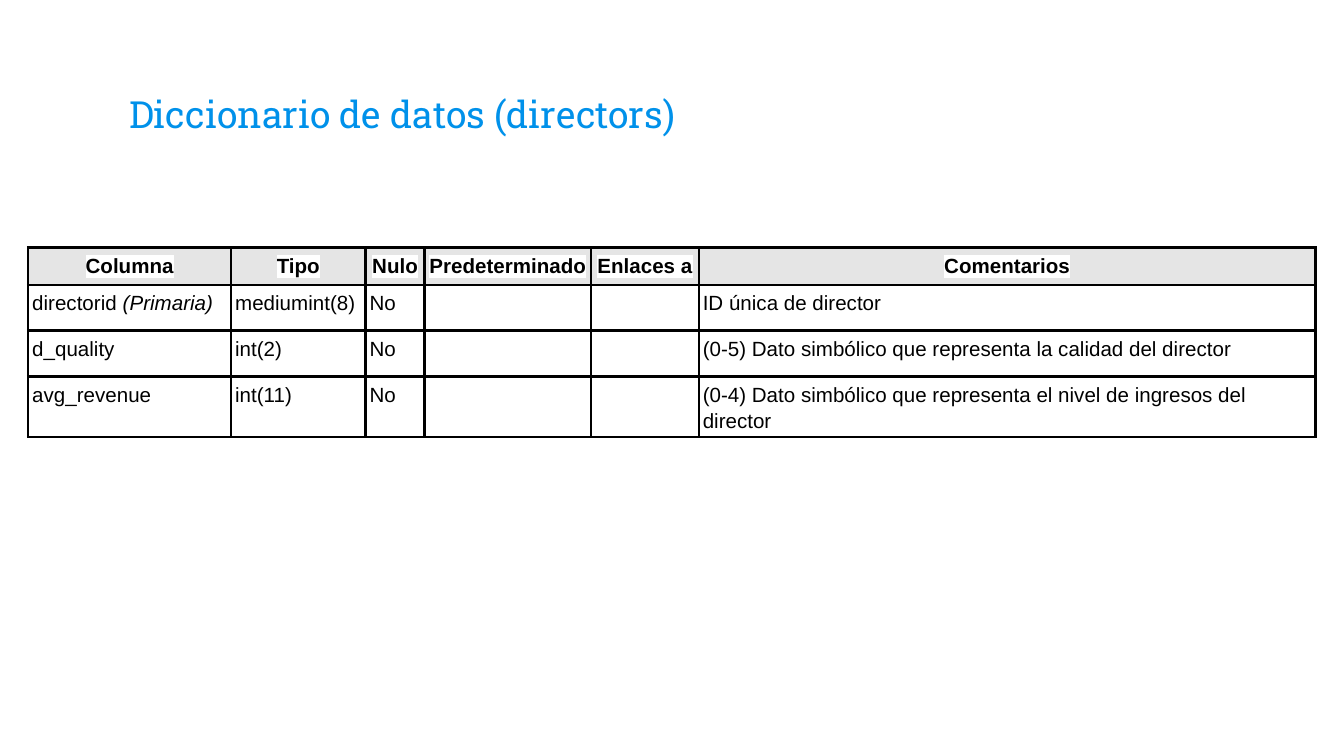
from dataclasses import dataclass

from lxml import etree
from pptx import Presentation
from pptx import util as u
from pptx.dml.color import RGBColor
from pptx.enum import text
from pptx.oxml import ns


@dataclass(frozen=True)
class Theme:
    title_font: str = "Roboto Slab"
    table_font: str = "Arial"
    title_size: int = 20
    table_size: int = 11
    title_color: str = "0091EA"
    ink: str = "000000"
    paper: str = "FFFFFF"
    header_fill: str = "E5E5E5"
    border_width: float = 1.5


@dataclass(frozen=True)
class Field:
    """One database column; its key note is set in italics after the name."""
    name: str
    type: str
    comment: str
    key: str = ""


THEME = Theme()
WIDTH = u.Inches(10)
HEIGHT = WIDTH * 9 // 16
COLUMNS = {"Columna": 1.51, "Tipo": 1, "Nulo": 0.44,
           "Predeterminado": 1.24, "Enlaces a": 0.8, "Comentarios": 4.59}
ROW_HEIGHT = 0.28
FIELDS = [
    Field("directorid ", "mediumint(8)", "ID única de director", "(Primaria)"),
    Field("d_quality", "int(2)",
          "(0-5) Dato simbólico que representa la calidad del director"),
    Field("avg_revenue", "int(11)",
          "(0-4) Dato simbólico que representa el nivel de ingresos del director"),
]


def apply(target, values: dict) -> None:
    for name, value in values.items():
        setattr(target, name, value)


def add_run(paragraph, words: str, font: str, size: int, color: str, **style):
    run = paragraph.add_run()
    run.text = words
    apply(run.font, {"name": font, "size": u.Pt(size), **style})
    run.font.color.rgb = RGBColor.from_string(color)
    return run


def add_color(parent, color: str) -> None:
    etree.SubElement(parent, ns.qn("a:srgbClr"), val=color)


def highlight(run, color: str) -> None:
    mark = etree.Element(ns.qn("a:highlight"))
    add_color(mark, color)
    run.font._element.find(ns.qn("a:solidFill")).addnext(mark)


def format_cell(cell, fill: str) -> None:
    sides = ("left", "right", "top", "bottom")
    apply(cell, {f"margin_{side}": u.Inches(0.03) for side in sides})
    properties = cell._tc.get_or_add_tcPr()
    for side in sides:
        line = etree.SubElement(properties, ns.qn(f"a:ln{side[0].upper()}"),
                                w=str(u.Pt(THEME.border_width)))
        add_color(etree.SubElement(line, ns.qn("a:solidFill")), THEME.ink)
    cell.fill.solid()
    cell.fill.fore_color.rgb = RGBColor.from_string(fill)


def set_empty_font(cell) -> None:
    """Give a blank cell the table font, which decides its row's height."""
    paragraph = cell.text_frame.paragraphs[0]._p
    end = etree.SubElement(paragraph, ns.qn("a:endParaRPr"))
    etree.SubElement(end, ns.qn("a:latin"), typeface=THEME.table_font)


def write_cell(cell, words: str, note: str = "", header: bool = False) -> None:
    paragraph = cell.text_frame.paragraphs[0]
    align = text.PP_ALIGN.CENTER if header else text.PP_ALIGN.LEFT
    apply(paragraph, {"alignment": align, "line_spacing": 1.15,
                      "space_before": u.Pt(12), "space_after": u.Pt(12)})
    look = (THEME.table_font, THEME.table_size, THEME.ink)
    run = add_run(paragraph, words, *look, bold=header)
    if header:
        highlight(run, THEME.paper)
    if note:
        add_run(paragraph, note, *look, italic=True)


def add_title(slide, words: str) -> None:
    title = slide.shapes.title
    apply(title, {"left": int(WIDTH * 0.086), "top": u.Inches(0.34),
                  "width": int(WIDTH * 0.828), "height": u.Inches(0.77)})
    frame = title.text_frame
    apply(frame, {f"margin_{side}": u.Inches(0.1)
                  for side in ("left", "right", "top", "bottom")})
    apply(frame, {"word_wrap": True, "auto_size": text.MSO_AUTO_SIZE.NONE,
                  "vertical_anchor": text.MSO_ANCHOR.BOTTOM})
    paragraph = frame.paragraphs[0]
    paragraph.alignment = text.PP_ALIGN.LEFT
    add_run(paragraph, words, THEME.title_font, THEME.title_size, THEME.title_color)


def add_dictionary(slide, fields: list[Field]) -> None:
    row_count = len(fields) + 1
    table = slide.shapes.add_table(
        row_count, len(COLUMNS), u.Inches(0.21), u.Inches(1.84),
        u.Inches(sum(COLUMNS.values())), u.Inches(ROW_HEIGHT * row_count)).table
    apply(table, {"first_row": False, "horz_banding": False})
    for column, width in zip(table.columns, COLUMNS.values()):
        column.width = u.Inches(width)
    for index, row in enumerate(table.rows):
        for cell in row.cells:
            format_cell(cell, THEME.paper if index else THEME.header_fill)
    for column, heading in enumerate(COLUMNS):
        write_cell(table.cell(0, column), heading, header=True)
    for row, field in enumerate(fields, start=1):
        write_cell(table.cell(row, 0), field.name, field.key)
        for column, words in ((1, field.type), (2, "No"), (5, field.comment)):
            write_cell(table.cell(row, column), words)
        for column in (3, 4):
            set_empty_font(table.cell(row, column))


def main() -> None:
    deck = Presentation()
    apply(deck, {"slide_width": WIDTH, "slide_height": HEIGHT})
    slide = deck.slides.add_slide(deck.slide_layouts.get_by_name("Title Only"))
    add_title(slide, "Diccionario de datos (directors)")
    add_dictionary(slide, FIELDS)
    deck.save("out.pptx")


if __name__ == "__main__":
    main()
